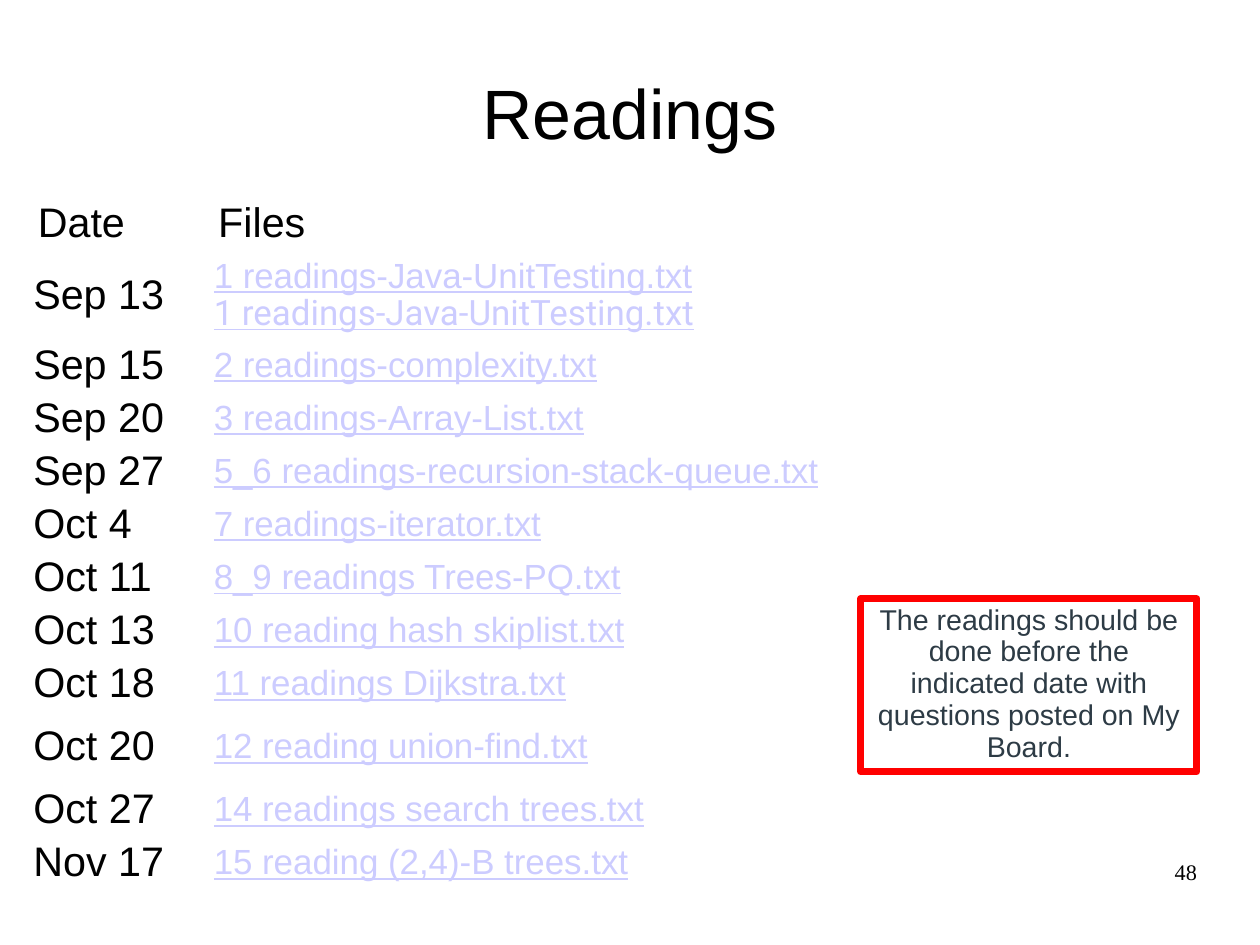
from dataclasses import dataclass

from pptx import Presentation
from pptx.dml.color import RGBColor
from pptx.enum.shapes import MSO_SHAPE
from pptx.enum.text import MSO_ANCHOR, PP_ALIGN
from pptx.util import Cm, Pt


@dataclass(frozen=True)
class Theme:
    ink: str = "000000"
    link: str = "CCCCFF"
    note: str = "2D3B45"
    frame: str = "FF0000"
    sans: str = "Arial"
    alternate: str = "Roboto"
    serif: str = "Times New Roman"
    title_size: int = 44
    date_size: int = 26
    file_size: int = 22
    note_size: int = 18
    number_size: int = 14
    spacing: float = 0.93


THEME = Theme()

READINGS = [
    ("Sep 13", ["1 readings-Java-UnitTesting.txt"] * 2),
    ("Sep 15", ["2 readings-complexity.txt"]),
    ("Sep 20", ["3 readings-Array-List.txt"]),
    ("Sep 27", ["5_6 readings-recursion-stack-queue.txt"]),
    ("Oct 4", ["7 readings-iterator.txt"]),
    ("Oct 11", ["8_9 readings Trees-PQ.txt"]),
    ("Oct 13", ["10 reading hash skiplist.txt"]),
    ("Oct 18", ["11 readings Dijkstra.txt"]),
    ("Oct 20", ["12 reading union-find.txt"]),
    ("Oct 27", ["14 readings search trees.txt"]),
    ("Nov 17", ["15 reading (2,4)-B trees.txt"]),
]
COLUMN_WIDTHS = (4.01, 22.81)
HEADER_HEIGHT = 1.28
ROW_HEIGHT = 1.18
TALL_ROWS = {"Sep 13": 1.93, "Oct 20": 1.62}


def place(shape, left, top, width, height):
    shape.left, shape.top = Cm(left), Cm(top)
    shape.width, shape.height = Cm(width), Cm(height)


def set_margins(holder, horizontal, vertical):
    holder.margin_left = holder.margin_right = Cm(horizontal)
    holder.margin_top = holder.margin_bottom = Cm(vertical)


def add_run(paragraph, text, size, color=THEME.ink, font=THEME.sans, underline=False):
    run = paragraph.add_run()
    run.text = text
    run.font.size = Pt(size)
    run.font.name = font
    run.font.color.rgb = RGBColor.from_string(color)
    run.font.underline = underline


def start_paragraph(frame, align=PP_ALIGN.LEFT):
    paragraph = frame.paragraphs[0]
    paragraph.alignment = align
    paragraph.line_spacing = THEME.spacing
    return paragraph


def add_title(slide, text):
    title = slide.shapes.title
    place(title, 1.4, 0.84, 25.2, 3.5)
    frame = title.text_frame
    frame.vertical_anchor = MSO_ANCHOR.MIDDLE
    set_margins(frame, 0, 0)
    add_run(start_paragraph(frame, PP_ALIGN.CENTER), text, THEME.title_size)


def add_page_number(slide, number):
    page = slide.shapes.add_textbox(Cm(20.07), Cm(19.13), Cm(6.53), Cm(1.45))
    frame = page.text_frame
    frame.word_wrap = True
    set_margins(frame, 0, 0)
    add_run(start_paragraph(frame, PP_ALIGN.RIGHT), number,
            THEME.number_size, font=THEME.serif)


def start_cell(cell, horizontal=0.03, vertical=0.03):
    cell.fill.background()
    cell.vertical_anchor = MSO_ANCHOR.MIDDLE
    set_margins(cell, horizontal, vertical)
    return start_paragraph(cell.text_frame)


def add_schedule(slide):
    heights = [HEADER_HEIGHT] + [TALL_ROWS.get(date, ROW_HEIGHT) for date, _ in READINGS]
    schedule = slide.shapes.add_table(
        len(heights), len(COLUMN_WIDTHS), Cm(0.71), Cm(4.34),
        Cm(sum(COLUMN_WIDTHS)), Cm(sum(heights))).table
    schedule.first_row = schedule.horz_banding = False
    for column, width in zip(schedule.columns, COLUMN_WIDTHS):
        column.width = Cm(width)
    for row, height in zip(schedule.rows, heights):
        row.height = Cm(height)
    for column, heading in enumerate(("Date", "Files")):
        add_run(start_cell(schedule.cell(0, column), 0.13, 0.08), heading, THEME.date_size)
    for row, (date, files) in enumerate(READINGS, start=1):
        add_run(start_cell(schedule.cell(row, 0)), date, THEME.date_size)
        links = start_cell(schedule.cell(row, 1))
        for position, (file, font) in enumerate(zip(files, (THEME.sans, THEME.alternate))):
            if position:
                links.add_line_break()
            add_run(links, file, THEME.file_size, THEME.link, font, underline=True)


def add_note(slide, text):
    note = slide.shapes.add_shape(MSO_SHAPE.RECTANGLE, Cm(19.13), Cm(13.31), Cm(7.47), Cm(3.84))
    note.shadow.inherit = False
    note.fill.background()
    note.line.color.rgb = RGBColor.from_string(THEME.frame)
    note.line.width = Pt(4.5)
    frame = note.text_frame
    frame.word_wrap = True
    frame.vertical_anchor = MSO_ANCHOR.TOP
    add_run(start_paragraph(frame, PP_ALIGN.CENTER), text, THEME.note_size, THEME.note)


def main():
    deck = Presentation()
    deck.slide_width, deck.slide_height = Cm(28), Cm(21)
    slide = deck.slides.add_slide(deck.slide_layouts[5])
    add_title(slide, "Readings")
    add_page_number(slide, "48")
    add_schedule(slide)
    add_note(slide, "The readings should be done before the indicated date "
                    "with questions posted on My Board.")
    deck.save("out.pptx")


main()
